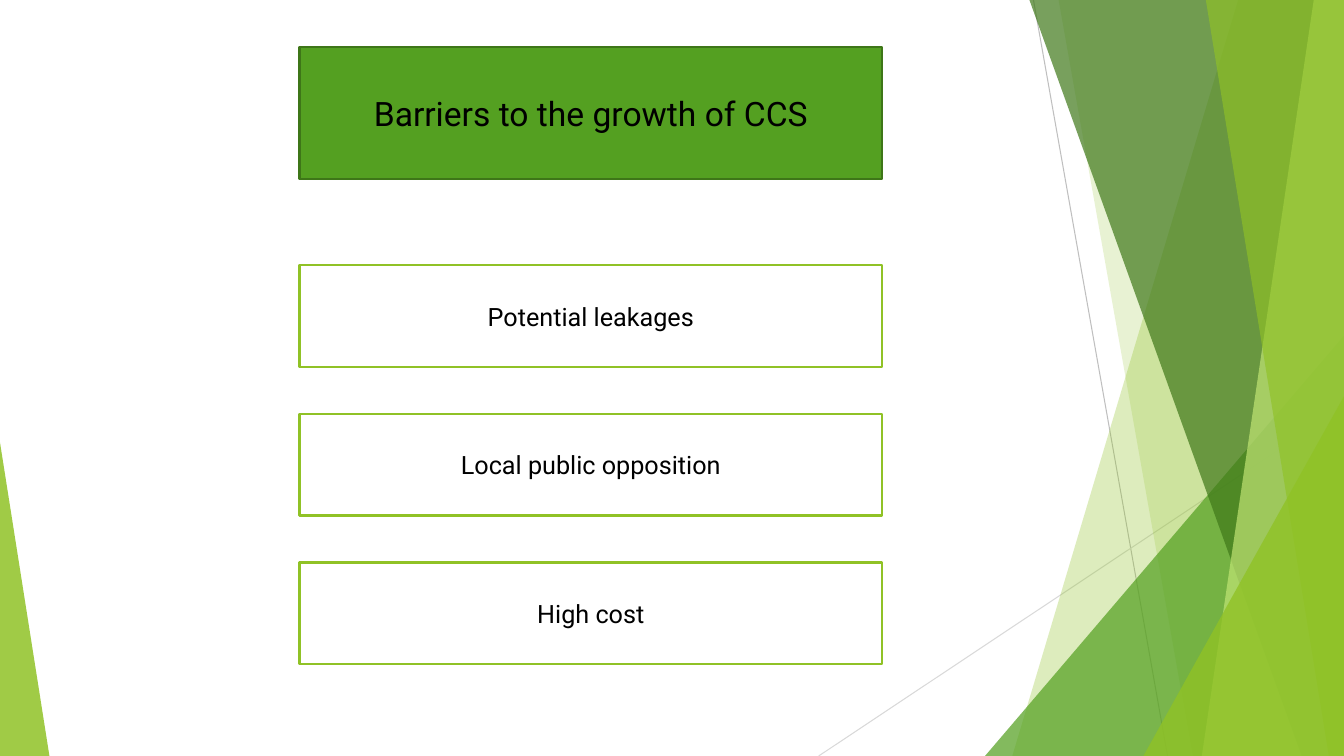
from dataclasses import dataclass

from pptx import Presentation
from pptx.dml.color import RGBColor
from pptx.enum.shapes import MSO_CONNECTOR, MSO_SHAPE
from pptx.enum.text import MSO_ANCHOR, PP_ALIGN
from pptx.oxml.ns import qn
from pptx.util import Inches, Pt
from lxml.etree import SubElement


@dataclass(frozen=True)
class Theme:
    font: str = "Roboto"
    title_size: int = 24
    item_size: int = 18
    border_width: float = 1.5
    hairline_width: float = 0.75
    text: str = "000000"
    white: str = "FFFFFF"
    green: str = "54A021"
    green_border: str = "3E7618"
    dark_green: str = "3F7819"
    lime: str = "90C226"
    pale_lime: str = "C0E474"
    gray: str = "BFBFBF"
    light_gray: str = "D9D9D9"


THEME = Theme()
SLIDE_WIDTH, SLIDE_HEIGHT = 13.33, 7.5
BOX_LEFT, BOX_WIDTH = 2.97, 5.78
TITLE_TOP, TITLE_HEIGHT = 0.47, 1.31
ITEM_TOP, ITEM_HEIGHT, ITEM_PITCH = 2.63, 1.01, 1.475
BARRIERS = ["Potential leakages", "Local public opposition", "High cost"]


def color(value):
    return RGBColor.from_string(value)


def paint_facet(shape, fill, opacity):
    """Fill a decorative facet with a translucent colour and no outline."""
    shape.shadow.inherit = False
    shape.fill.solid()
    shape.fill.fore_color.rgb = color(fill)
    shape.line.fill.background()
    solid_color = shape.fill._xPr.find(f".//{qn('a:srgbClr')}")
    SubElement(solid_color, qn("a:alpha")).set("val", str(opacity * 1000))


def add_hairline(slide, start, end, line_color):
    line = slide.shapes.add_connector(
        MSO_CONNECTOR.STRAIGHT, *(Inches(value) for value in start + end))
    line.line.color.rgb = color(line_color)
    line.line.width = Pt(THEME.hairline_width)
    SubElement(line._element.spPr, qn("a:effectLst"))


def add_band(slide, top_left, bottom_left, fill, opacity):
    """Draw a full-height band from a slanted left edge to the slide's right edge."""
    builder = slide.shapes.build_freeform(Inches(top_left), 0)
    corners = [(SLIDE_WIDTH, 0), (SLIDE_WIDTH, SLIDE_HEIGHT),
               (bottom_left, SLIDE_HEIGHT)]
    builder.add_line_segments([(Inches(x), Inches(y)) for x, y in corners])
    paint_facet(builder.convert_to_shape(), fill, opacity)


def add_corner(slide, left, top, width, apex, fill, opacity):
    """Draw a right triangle standing on the slide's bottom edge."""
    triangle = slide.shapes.add_shape(
        MSO_SHAPE.ISOSCELES_TRIANGLE, Inches(left), Inches(top),
        Inches(width), Inches(SLIDE_HEIGHT - top))
    triangle.adjustments[0] = apex
    paint_facet(triangle, fill, opacity)


def add_box(slide, text, top, height, fill, border, size):
    box = slide.shapes.add_shape(
        MSO_SHAPE.RECTANGLE, Inches(BOX_LEFT), Inches(top),
        Inches(BOX_WIDTH), Inches(height))
    box.shadow.inherit = False
    box.fill.solid()
    box.fill.fore_color.rgb = color(fill)
    box.line.color.rgb = color(border)
    box.line.width = Pt(THEME.border_width)
    frame = box.text_frame
    frame.word_wrap = True
    frame.vertical_anchor = MSO_ANCHOR.MIDDLE
    paragraph = frame.paragraphs[0]
    paragraph.text = text
    paragraph.alignment = PP_ALIGN.CENTER
    paragraph.font.name = THEME.font
    paragraph.font.size = Pt(size)
    paragraph.font.color.rgb = color(THEME.text)


def add_background(slide):
    add_hairline(slide, (10.25, 0), (11.58, SLIDE_HEIGHT), THEME.gray)
    add_hairline(slide, (SLIDE_WIDTH, 4.03), (8.12, SLIDE_HEIGHT), THEME.light_gray)
    add_band(slide, 12.28, 10.04, THEME.lime, 30)
    add_band(slide, 10.5, 11.83, THEME.lime, 20)
    add_corner(slide, 9.77, 3.33, 3.56, 1, THEME.green, 72)
    add_band(slide, 10.21, 12.91, THEME.dark_green, 70)
    add_band(slide, 13.03, 11.92, THEME.pale_lime, 70)
    add_band(slide, 11.96, 13.18, THEME.lime, 65)
    add_corner(slide, 11.34, 3.93, 1.99, 1, THEME.lime, 80)
    add_corner(slide, 0, 4.39, 0.49, 0, THEME.lime, 85)


def main():
    presentation = Presentation()
    presentation.slide_width = Inches(SLIDE_WIDTH)
    presentation.slide_height = Inches(SLIDE_HEIGHT)
    slide = presentation.slides.add_slide(presentation.slide_layouts[6])

    # Layered green facets
    add_background(slide)

    # Title box
    add_box(slide, "Barriers to the growth of CCS", TITLE_TOP, TITLE_HEIGHT,
            THEME.green, THEME.green_border, THEME.title_size)

    # One box per barrier, evenly stacked
    for index, barrier in enumerate(BARRIERS):
        add_box(slide, barrier, ITEM_TOP + index * ITEM_PITCH, ITEM_HEIGHT,
                THEME.white, THEME.lime, THEME.item_size)

    presentation.save("out.pptx")


if __name__ == "__main__":
    main()
